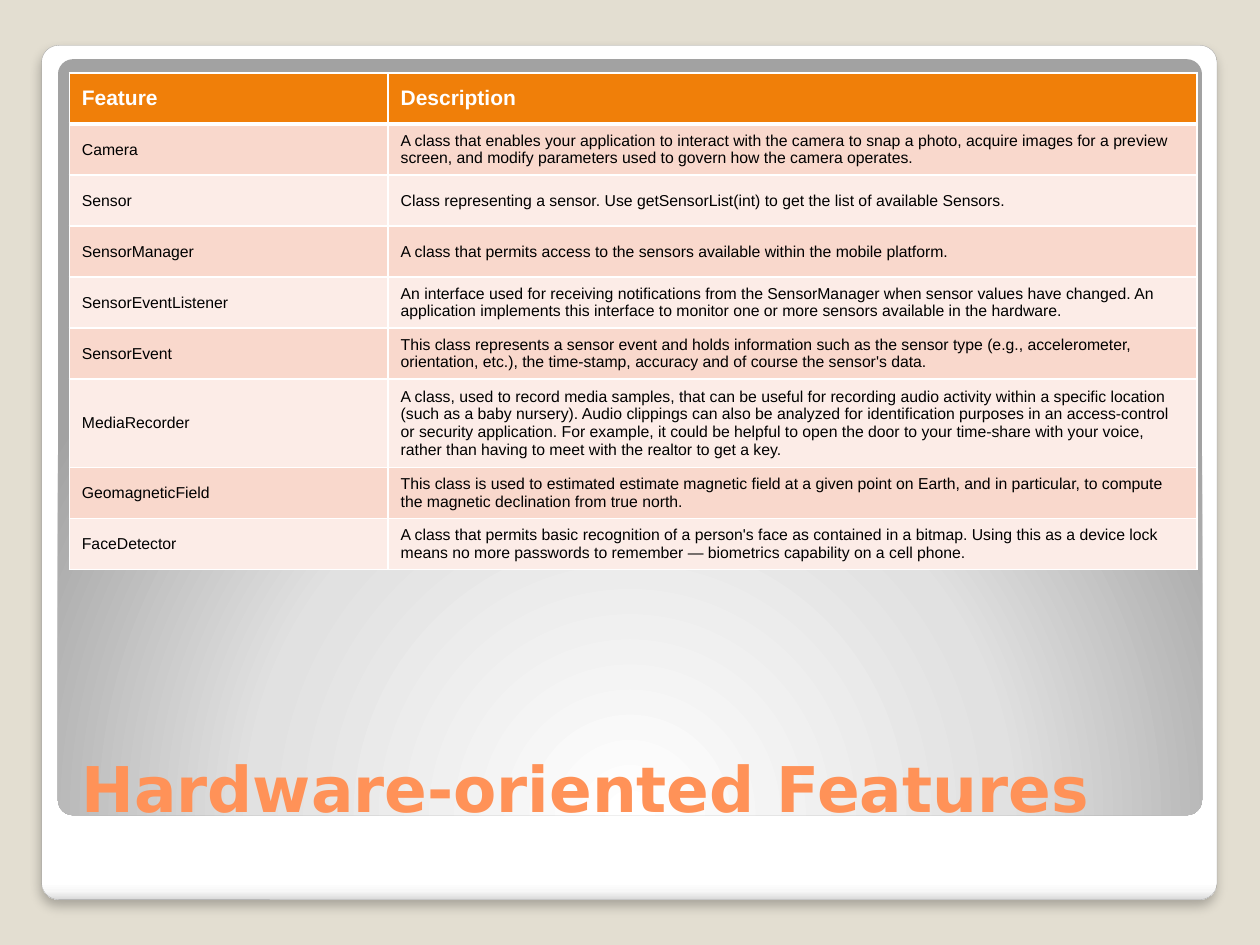
"""Build a slide with a table of hardware-oriented features on a framed panel."""
import lxml.etree
import pptx
import pptx.dml.color
import pptx.enum.shapes
import pptx.enum.text
import pptx.oxml.ns
import pptx.util

TITLE = "Hardware-oriented Features"
HEADER = ("Feature", "Description")
FEATURES = [
    ("Camera", "A class that enables your application to interact with the camera to snap a photo, "
     "acquire images for a preview screen, and modify parameters used to govern how the camera operates."),
    ("Sensor", "Class representing a sensor. Use getSensorList(int) to get the list of available Sensors."),
    ("SensorManager", "A class that permits access to the sensors available within the mobile platform."),
    ("SensorEventListener", "An interface used for receiving notifications from the SensorManager when "
     "sensor values have changed. An application implements this interface to monitor one or more "
     "sensors available in the hardware."),
    ("SensorEvent", "This class represents a sensor event and holds information such as the sensor type "
     "(e.g., accelerometer, orientation, etc.), the time-stamp, accuracy and of course the sensor's data."),
    ("MediaRecorder", "A class, used to record media samples, that can be useful for recording audio "
     "activity within a specific location (such as a baby nursery). Audio clippings can also be analyzed "
     "for identification purposes in an access-control or security application. For example, it could be "
     "helpful to open the door to your time-share with your voice, rather than having to meet with the "
     "realtor to get a key."),
    ("GeomagneticField", "This class is used to estimated estimate magnetic field at a given point on "
     "Earth, and in particular, to compute the magnetic declination from true north."),
    ("FaceDetector", "A class that permits basic recognition of a person's face as contained in a bitmap. "
     "Using this as a device lock means no more passwords to remember — biometrics capability on a cell phone."),
]

THEME = {
    "background": "E3DED1", "frame_line": "A4A4A4", "title": "FF9258", "border": "FFFFFF",
    "header_fill": "F07F09", "header_text": "FFFFFF", "body_text": "000000",
    "bands": ("F9D8CC", "FCECE7"),
    "frame_stops": ((0, "FFFFFF"), (98, "FFFFFF"), (99, "F7F7F7"), (100, "DADADA")),
    "panel_stops": ((0, "FFFFFF"), (55, "E1E1E1"), (100, "A2A2A2")),
    "title_font": "DejaVu Sans", "table_font": "Arial",
    "title_size": 36, "header_size": 12, "body_size": 9,
}
WIDTH, HEIGHT = 10, 7.5
FRAME = (0.33, 0.36, 9.33, 6.78)
PANEL = (0.46, 0.47, 9.08, 6)
LEFT, CONTENT_WIDTH = 0.55, 8.95
TITLE_TOP, TITLE_HEIGHT = 5.45, 1.15
TABLE_TOP, ROW_HEIGHT, FEATURE_WIDTH = 0.58, 0.405, 2.53
LINEAR = '<a:lin ang="5400000" scaled="0"/>'
RADIAL = '<a:path path="circle"><a:fillToRect l="50000" t="175000" r="50000" b="-75000"/></a:path>'
SHADOW = ('<a:outerShdw {ns} blurRad="76200" dist="50800" dir="5400000" algn="t" rotWithShape="0">'
          '<a:srgbClr val="000000"><a:alpha val="25000"/></a:srgbClr></a:outerShdw>')


def rgb(value):
    return pptx.dml.color.RGBColor.from_string(value)


def inches(*values):
    return [pptx.util.Inches(v) for v in values]


def add_xml(parent, text):
    parent.append(lxml.etree.fromstring(text.replace("{ns}", pptx.oxml.ns.nsdecls("a"))))


def style(p, font, size, color, bold):
    p.font.name, p.font.size, p.font.bold = font, pptx.util.Pt(size), bold
    p.font.color.rgb = rgb(color)


def add_rounded(s, box, stops, direction):
    sp = s.shapes.add_shape(pptx.enum.shapes.MSO_SHAPE.ROUNDED_RECTANGLE, *inches(*box))
    sp.adjustments[0] = 0.02
    marks = "".join(f'<a:gs pos="{pos * 1000}"><a:srgbClr val="{c}"/></a:gs>' for pos, c in stops)
    add_xml(sp._element.spPr, f"<a:gradFill {{ns}}><a:gsLst>{marks}</a:gsLst>{direction}</a:gradFill>")
    sp.line.fill.background()
    sp.shadow.inherit = False
    return sp


def add_title(s):
    sp = s.shapes.add_textbox(*inches(LEFT, TITLE_TOP, CONTENT_WIDTH, TITLE_HEIGHT))
    tf = sp.text_frame
    tf.word_wrap = True
    tf.vertical_anchor = pptx.enum.text.MSO_ANCHOR.BOTTOM
    tf.text = TITLE
    style(tf.paragraphs[0], THEME["title_font"], THEME["title_size"], THEME["title"], True)


def fill_cell(cell, text, row):
    header = row == 0
    cell.text = text
    cell.vertical_anchor = pptx.enum.text.MSO_ANCHOR.MIDDLE
    kind = "header" if header else "body"
    style(cell.text_frame.paragraphs[0], THEME["table_font"], THEME[kind + "_size"],
          THEME[kind + "_text"], header)
    for side in "LRTB":
        heavy = (header and side == "B") or (row == 1 and side == "T")
        width = pptx.util.Pt(3 if heavy else 1)
        add_xml(cell._tc.get_or_add_tcPr(),
                f'<a:ln{side} {{ns}} w="{width}"><a:solidFill><a:srgbClr val="{THEME["border"]}"/>'
                f"</a:solidFill></a:ln{side}>")
    cell.fill.solid()
    cell.fill.fore_color.rgb = rgb(THEME["header_fill"] if header else THEME["bands"][(row - 1) % 2])


def add_features(s):
    rows = [HEADER, *FEATURES]
    box = inches(LEFT, TABLE_TOP, CONTENT_WIDTH, ROW_HEIGHT * len(rows))
    table = s.shapes.add_table(len(rows), len(HEADER), *box).table
    for column, width in zip(table.columns, inches(FEATURE_WIDTH, CONTENT_WIDTH - FEATURE_WIDTH)):
        column.width = width
    for i, row in enumerate(rows):
        for j, text in enumerate(row):
            fill_cell(table.cell(i, j), text, i)


def main():
    prs = pptx.Presentation()
    prs.slide_width, prs.slide_height = inches(WIDTH, HEIGHT)
    s = prs.slides.add_slide(prs.slide_layouts[6])
    s.background.fill.solid()
    s.background.fill.fore_color.rgb = rgb(THEME["background"])
    frame = add_rounded(s, FRAME, THEME["frame_stops"], LINEAR)
    frame.line.color.rgb = rgb(THEME["frame_line"])
    frame.line.width = pptx.util.Pt(0.16)
    add_xml(frame._element.spPr.find(pptx.oxml.ns.qn("a:effectLst")), SHADOW)
    add_rounded(s, PANEL, THEME["panel_stops"], RADIAL)
    add_title(s)
    add_features(s)
    prs.save("out.pptx")


if __name__ == "__main__":
    main()
